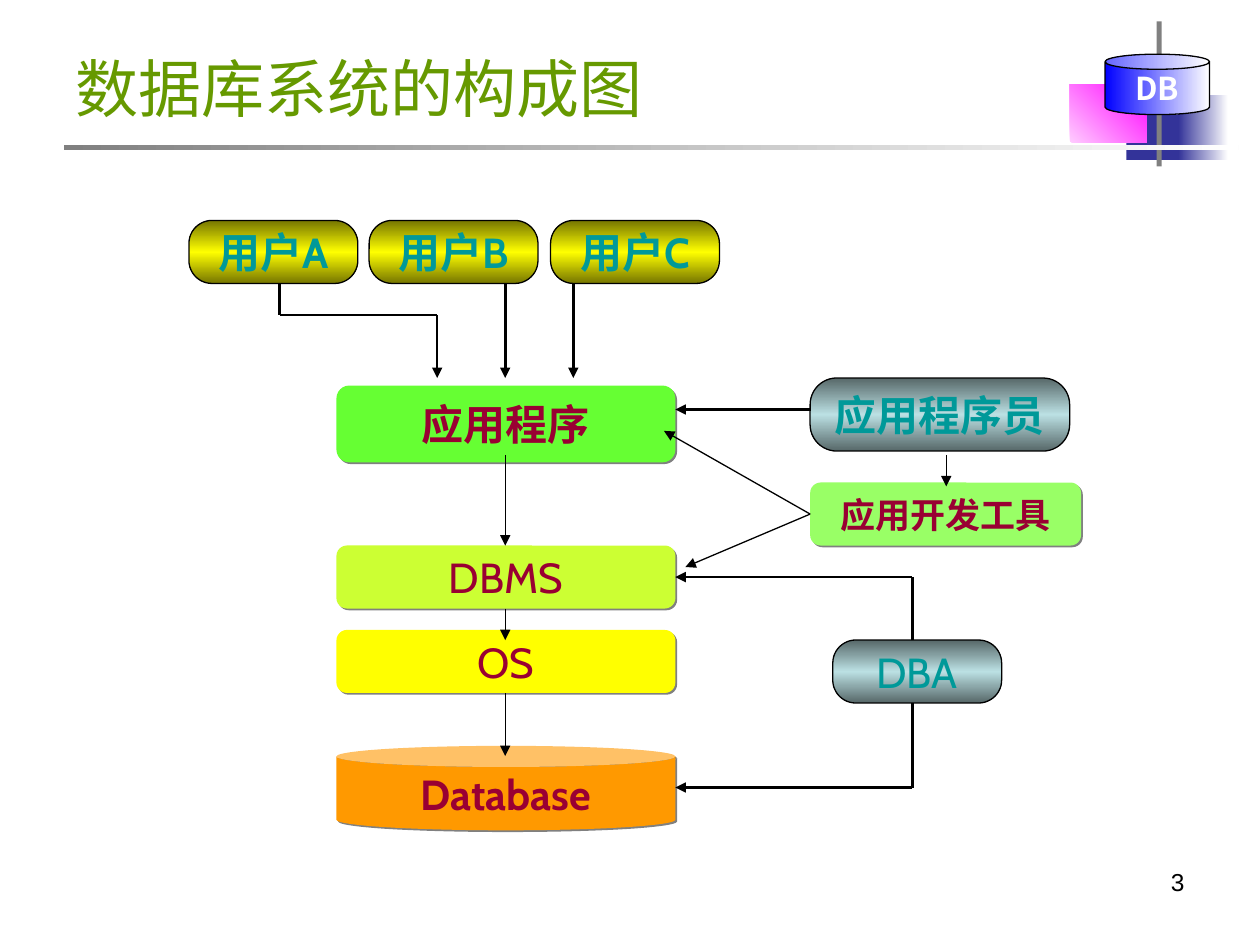
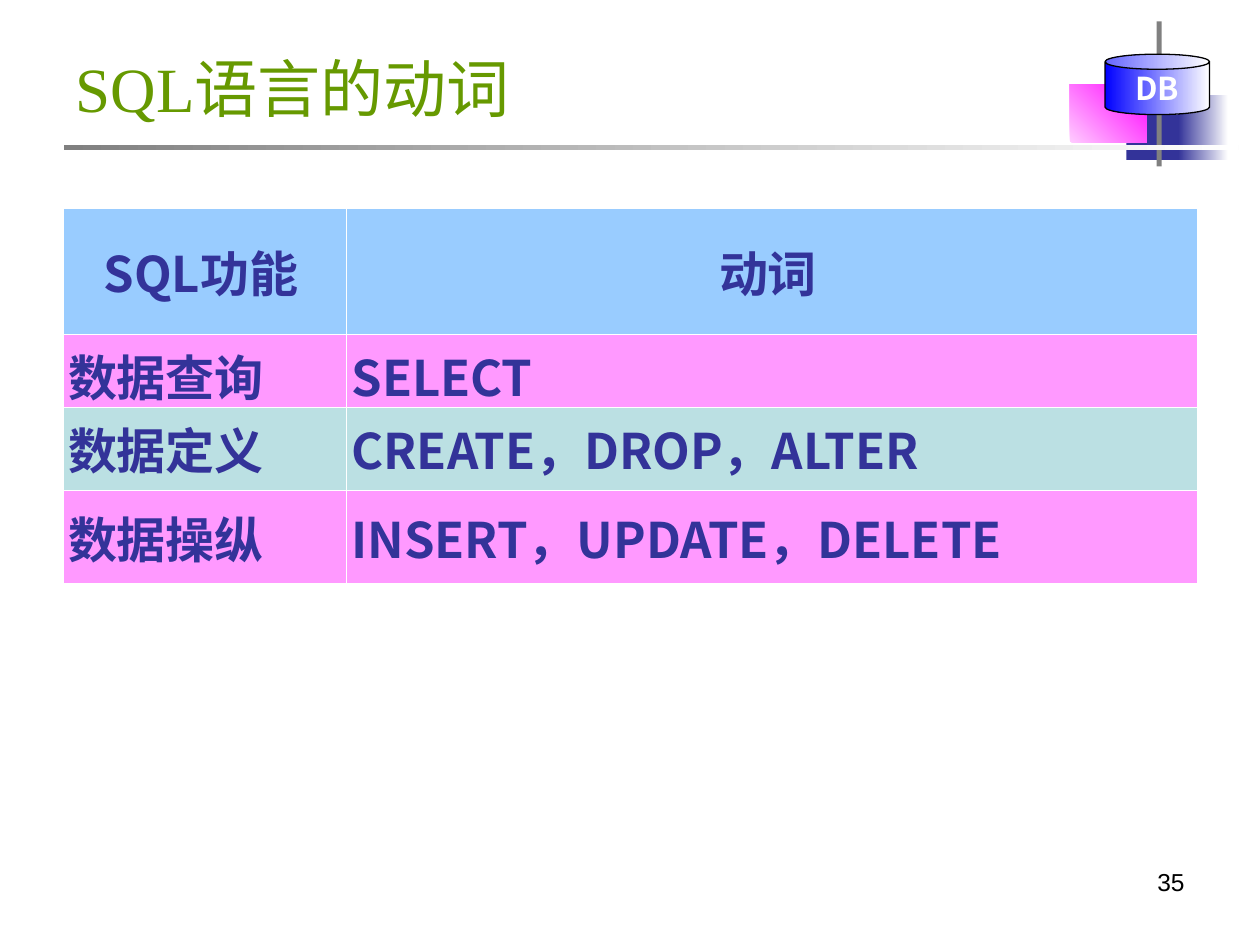
from pptx import Presentation
from pptx import util as u
from pptx.dml.color import RGBColor
from pptx.enum import shapes, text
from pptx.oxml import parse_xml
from pptx.oxml.ns import nsdecls, qn

PX = 9144  # EMU per px, 100 px to the inch

BLACK = RGBColor(0x00, 0x00, 0x00)
WHITE = RGBColor(0xFF, 0xFF, 0xFF)
GRAY = RGBColor(0x80, 0x80, 0x80)
NAVY = RGBColor(0x33, 0x33, 0x99)
BLUE = RGBColor(0x00, 0x00, 0xFF)
MAGENTA = RGBColor(0xFF, 0x00, 0xFF)
PALE_PINK = RGBColor(0xFF, 0xCC, 0xFF)
PINK = RGBColor(0xFF, 0x99, 0xFF)
TITLE_GREEN = RGBColor(0x66, 0x99, 0x00)
MAROON = RGBColor(0x99, 0x00, 0x33)
TEAL = RGBColor(0x00, 0x99, 0x99)
SKY = RGBColor(0x99, 0xCC, 0xFF)
ICE = RGBColor(0xBB, 0xE0, 0xE3)
SLATE = RGBColor(0x57, 0x68, 0x69)
OLIVE = RGBColor(0x76, 0x76, 0x00)
YELLOW = RGBColor(0xFF, 0xFF, 0x00)
GREEN = RGBColor(0x66, 0xFF, 0x33)
LIGHT_GREEN = RGBColor(0x99, 0xFF, 0x66)
LIME = RGBColor(0xCC, 0xFF, 0x33)
ORANGE = RGBColor(0xFF, 0x99, 0x00)

CJK = "Noto Sans CJK SC"
LABEL_FONT = "Cabin"
TITLE_FONT = "Times New Roman"
NUMBER_FONT = "Arial"

RECTANGLE = shapes.MSO_SHAPE.RECTANGLE
ROUNDED = shapes.MSO_SHAPE.ROUNDED_RECTANGLE
CAN = shapes.MSO_SHAPE.CAN
CENTER = text.PP_ALIGN.CENTER
LEFT = text.PP_ALIGN.LEFT
RIGHT = text.PP_ALIGN.RIGHT
MIDDLE = text.MSO_ANCHOR.MIDDLE

TITLE_BOX = (50, 30, 900, 78)
HEADER_BOX = (51, 17, 932, 115)
NUMBER_BOX = (717, 683, 233, 52)
DIAGRAM_BOX = (150, 175, 708, 484)
TABLE_BOX = (50, 165, 900, 298)


def emu(*lengths):
    return [u.Emu(length * PX) for length in lengths]


def inside(box, left, top, width, height):
    """Turn a place relative to box into a place on the slide."""
    return box[0] + left, box[1] + top, width, height


def write(frame, words, size, color, font, bold=False, align=CENTER):
    paragraph = frame.paragraphs[0]
    paragraph.text = words
    paragraph.alignment = align
    paragraph.font.size = u.Pt(size)
    paragraph.font.bold = bold
    paragraph.font.color.rgb = color
    paragraph.font.name = font
    properties = paragraph._p.pPr.find(qn("a:defRPr"))
    properties.append(parse_xml(f'<a:ea {nsdecls("a")} typeface="{CJK}"/>'))
    return paragraph


def paint(shape, colors, angle):
    """Fill with one colour, or with evenly spaced gradient colours."""
    shape.fill.solid()
    shape.fill.fore_color.rgb = colors[0]
    if len(colors) == 1:
        return
    step = 100000 // (len(colors) - 1)
    stops = "".join(
        f'<a:gs pos="{i * step}"><a:srgbClr val="{color}"/></a:gs>'
        for i, color in enumerate(colors))
    gradient = parse_xml(
        f'<a:gradFill {nsdecls("a")} rotWithShape="1"><a:gsLst>{stops}</a:gsLst>'
        f'<a:lin ang="{angle * 60000}" scaled="1"/></a:gradFill>')
    properties = shape._element.spPr
    properties.replace(properties.find(qn("a:solidFill")), gradient)


def add_block(slide, kind, place, *colors, angle=0, outlined=False):
    shape = slide.shapes.add_shape(kind, *emu(*place))
    shape.shadow.inherit = False
    paint(shape, colors, angle)
    if outlined:
        shape.line.color.rgb = BLACK
        shape.line.width = u.Pt(0.75)
    else:
        shape.line.fill.background()
    return shape


def add_label(shape, words, color, size=24, bold=True):
    frame = shape.text_frame
    frame.word_wrap = False
    frame.vertical_anchor = MIDDLE
    write(frame, words, size, color, LABEL_FONT, bold)


def add_pill(slide, place, words, edge, middle, bold=True):
    shape = add_block(slide, ROUNDED, place, edge, middle, edge,
                      angle=90, outlined=True)
    shape.adjustments[0] = 0.365
    add_label(shape, words, TEAL, bold=bold)


def add_layer(slide, kind, place, words, color, size=24, bold=True):
    shape = add_block(slide, kind, place, color)
    shape._element.spPr.find(qn("a:effectLst")).append(parse_xml(
        f'<a:outerShdw {nsdecls("a")} dist="17960" dir="2700000" algn="ctr" '
        f'rotWithShape="0"><a:srgbClr val="{GRAY}"/></a:outerShdw>'))
    add_label(shape, words, MAROON, size, bold)


def add_route(slide, box, points, weight):
    """Join the points with straight lines and put an arrowhead at the last."""
    for start, end in zip(points, points[1:]):
        line = slide.shapes.add_connector(
            shapes.MSO_CONNECTOR.STRAIGHT,
            *emu(box[0] + start[0], box[1] + start[1],
                 box[0] + end[0], box[1] + end[1]))
        line.line.color.rgb = BLACK
        line.line.width = u.Pt(weight)
        properties = line._element.spPr
        properties.append(parse_xml(f'<a:effectLst {nsdecls("a")}/>'))
    properties.find(qn("a:ln")).append(
        parse_xml(f'<a:tailEnd {nsdecls("a")} type="triangle"/>'))


# Parts shared by all slides
def add_header(slide, box):
    add_block(slide, RECTANGLE, inside(box, 843, 58, 46, 52), NAVY)
    add_block(slide, RECTANGLE, inside(box, 884, 58, 40, 52), NAVY, WHITE)
    add_block(slide, RECTANGLE, inside(box, 798, 50, 61, 46),
              PALE_PINK, MAGENTA, angle=315)
    add_block(slide, RECTANGLE, inside(box, 867, 0, 4, 115), GRAY)
    add_block(slide, RECTANGLE, inside(box, 0, 98, 932, 4), GRAY, WHITE)
    badge = add_block(slide, CAN, inside(box, 826, 26, 83, 48),
                      BLUE, WHITE, outlined=True)
    frame = badge.text_frame
    frame.margin_left = frame.margin_right = 0
    frame.margin_top = frame.margin_bottom = 0
    frame.vertical_anchor = MIDDLE
    write(frame, "DB", 18, WHITE, CJK, bold=True)


def add_title(slide, box, words):
    title = slide.shapes.title
    title.left, title.top, title.width, title.height = emu(*box)
    frame = title.text_frame
    frame.auto_size = text.MSO_AUTO_SIZE.NONE
    frame.vertical_anchor = MIDDLE
    write(frame, words, 36, TITLE_GREEN, TITLE_FONT, align=LEFT)


def add_number(slide, box, number):
    frame = slide.shapes.add_textbox(*emu(*box)).text_frame
    frame.word_wrap = True
    write(frame, str(number), 14, BLACK, NUMBER_FONT, align=RIGHT)


def new_slide(presentation, title, number):
    slide = presentation.slides.add_slide(presentation.slide_layouts[5])
    add_header(slide, HEADER_BOX)
    add_title(slide, TITLE_BOX, title)
    add_number(slide, NUMBER_BOX, number)
    return slide


# Structure of a database system
def add_diagram(slide, box):
    # Users
    for i, letter in enumerate("ABC"):
        add_pill(slide, inside(box, i * 287 // 2, 0, 134, 50),
                 f"用户{letter}", OLIVE, YELLOW)

    # Software layers
    layers = [
        (ROUNDED, 131, 61, "应用程序", GREEN, True),
        (ROUNDED, 258, 50, "DBMS", LIME, False),
        (ROUNDED, 325, 50, "OS", YELLOW, False),
        (CAN, 417, 67, "Database", ORANGE, True),
    ]
    for kind, top, height, words, color, bold in layers:
        add_layer(slide, kind, inside(box, 117, top, 269, height),
                  words, color, bold=bold)

    # Programmers, tools and administrator
    add_pill(slide, inside(box, 493, 125, 206, 58), "应用程序员", SLATE, ICE)
    add_layer(slide, ROUNDED, inside(box, 493, 208, 215, 50),
              "应用开发工具", LIGHT_GREEN, size=20)
    add_pill(slide, inside(box, 511, 333, 134, 50), "DBA", SLATE, ICE, bold=False)

    # Access by people
    people_routes = [
        [(72, 50), (72, 75), (197, 75), (197, 125)],
        [(251, 50), (251, 125)],
        [(305, 50), (305, 125)],
        [(493, 150), (386, 150)],
        [(574, 333), (574, 283), (386, 283)],
        [(574, 383), (574, 450), (386, 450)],
    ]
    # Calls between software
    software_routes = [
        [(251, 186), (251, 258)],
        [(251, 308), (251, 333)],
        [(251, 375), (251, 425)],
        [(601, 186), (601, 211)],
        [(493, 233), (377, 167)],
        [(493, 233), (394, 275)],
    ]
    for routes, weight in ((people_routes, 1.5), (software_routes, 0.75)):
        for points in routes:
            add_route(slide, box, points, weight)


# Table of SQL verbs
def add_cell_borders(cell):
    properties = cell._tc.get_or_add_tcPr()
    for i, side in enumerate(("lnL", "lnR", "lnT", "lnB")):
        properties.insert(i, parse_xml(
            f'<a:{side} {nsdecls("a")} w="5715"><a:solidFill>'
            f'<a:srgbClr val="{WHITE}"/></a:solidFill></a:{side}>'))


def add_verb_table(slide, box):
    rows = [
        (100, SKY, "SQL功能", "动词"),
        (58, PINK, "数据查询", "SELECT"),
        (66, ICE, "数据定义", "CREATE，DROP，ALTER"),
        (74, PINK, "数据操纵", "INSERT，UPDATE，DELETE"),
    ]
    table = slide.shapes.add_table(len(rows), 2, *emu(*box)).table
    table.first_row = table.horz_banding = False
    # "No Style, No Grid"
    style = table._tbl.tblPr.find(qn("a:tableStyleId"))
    style.text = "{2D5ABB26-0587-4C30-8999-92F81FD0307C}"
    table.columns[0].width, table.columns[1].width = emu(box[2] // 4, box[2] * 3 // 4)
    for i, (height, color, *entries) in enumerate(rows):
        table.rows[i].height = u.Emu(height * PX)
        for j, words in enumerate(entries):
            cell = table.cell(i, j)
            cell.fill.solid()
            cell.fill.fore_color.rgb = color
            cell.vertical_anchor = MIDDLE
            cell.margin_left, cell.margin_right = emu(4, 10)
            paragraph = write(cell.text_frame, words, 28, NAVY, CJK, bold=True,
                              align=LEFT if i else CENTER)
            paragraph.space_before = u.Pt(3.5 if i else 7)
            add_cell_borders(cell)


def main():
    presentation = Presentation()
    presentation.slide_width, presentation.slide_height = emu(1000, 750)
    add_diagram(new_slide(presentation, "数据库系统的构成图", 3), DIAGRAM_BOX)
    add_verb_table(new_slide(presentation, "SQL语言的动词", 35), TABLE_BOX)
    presentation.save("out.pptx")


if __name__ == "__main__":
    main()
